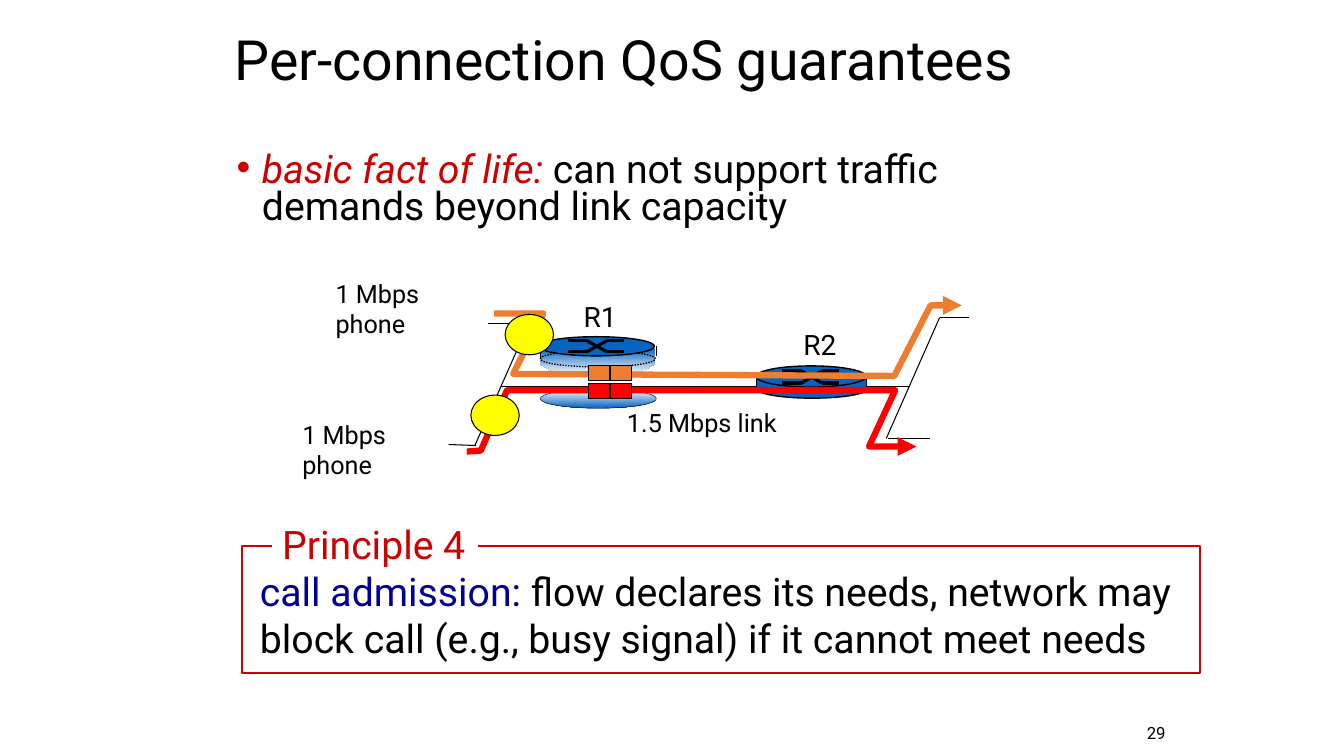
"""Build the slide on per-connection QoS guarantees."""
from dataclasses import dataclass

from lxml.etree import SubElement as Sub
from pptx import Presentation
from pptx.dml.color import RGBColor as Rgb
from pptx.enum.dml import MSO_LINE as Dash
from pptx.enum.shapes import MSO_CONNECTOR as Conn, MSO_SHAPE as Kind
from pptx.enum.text import MSO_ANCHOR as Anchor, MSO_AUTO_SIZE as Fit, PP_ALIGN as Align
from pptx.oxml.ns import qn
from pptx.util import Cm, Pt

FONT = "Roboto"
INK = {
    "black": "000000", "white": "FFFFFF", "crimson": "CC0000", "navy": "000099",
    "blue": "0563C1", "orange": "ED7D31", "red": "FF0000", "yellow": "FFFF00",
}
Box = tuple[float, float, float, float]
Spot = tuple[float, float]


@dataclass
class Part:
    text: str
    ink: str = "black"
    slant: bool = False


@dataclass
class Label:
    box: Box
    rows: list[list[Part]]
    size: float
    wrap: bool = False
    mid: bool = False


@dataclass
class Form:
    kind: Kind
    box: Box
    fill: tuple[str, ...] = ()
    line: str = ""
    width: float = 0.75
    dash: bool = False


@dataclass
class Flow:
    spots: list[Spot]
    ink: str


TITLE = Label((2.23, 0, 8.5, 1.25), [[Part("Per-connection QoS guarantees")]], 39.6, True, True)
FACT = Label((2.25, 1.47, 8.5, 0.94), [[
    Part("basic fact of life: ", "crimson", True),
    Part("can not support traffic demands beyond link capacity")]], 28, True)
RULE = Label((2.48, 5.58, 9.43, 1.04), [
    [Part("call admission: ", "navy"), Part("flow declares its needs, network may")],
    [Part("block call (e.g., busy signal) if it cannot meet needs")]], 28)
HEAD = Label((2.7, 5.11, 2.04, 0.57), [[Part("Principle 4", "crimson")]], 28)
PAGE = Label((10.91, 7.12, 0.75, 0.3), [[Part("29")]], 12, True, True)
PHONE = [[Part("1 Mbps")], [Part("phone")]]
NAMES = [
    Label((5.69, 2.92, 0.56, 0.44), [[Part("R1")]], 20),
    Label((7.87, 3.2, 0.56, 0.44), [[Part("R2")]], 20),
    Label((6.12, 3.99, 1.75, 0.4), [[Part("1.5 Mbps link")]], 18),
    Label((3.23, 2.71, 1.1, 0.71), PHONE, 18),
    Label((2.9, 4.11, 1.1, 0.71), PHONE, 18),
]
SIDE = [
    (5.36, 3.45), (5.45, 3.49), (5.6, 3.51), (5.73, 3.52), (5.89, 3.53), (6.01, 3.53),
    (6.16, 3.52), (6.29, 3.51), (6.46, 3.47), (6.5, 3.46), (6.5, 3.61), (6.43, 3.65),
    (6.37, 3.68), (6.29, 3.69), (6.17, 3.71), (6.02, 3.72), (5.89, 3.72), (5.78, 3.71),
    (5.67, 3.71), (5.53, 3.69), (5.46, 3.67), (5.4, 3.64), (5.36, 3.61),
]
WIRES = [
    ((5.24, 3.22), (4.71, 4.42)), ((4.72, 4.42), (4.45, 4.41)),
    ((5.25, 3.21), (4.84, 3.21)), ((9.32, 3.15), (8.79, 4.35)),
    ((9.22, 4.35), (8.81, 4.35)), ((9.61, 3.15), (9.32, 3.15)),
]
FLOWS = [
    Flow([(4.9, 3.11), (5.39, 3.11), (5.09, 3.71), (8.87, 3.73), (9.23, 3.03), (9.54, 3.03)],
         "orange"),
    Flow([(4.63, 4.48), (4.77, 4.47), (5.03, 3.87), (8.88, 3.87), (8.62, 4.43), (9.09, 4.43)],
         "red"),
]


def inch(val: float) -> Cm:
    return Cm(val * 2.54)


def tint(name: str) -> Rgb:
    return Rgb.from_string(INK[name])


def paint(shape, fill: tuple[str, ...], line: str, width: float) -> None:
    shape.shadow.inherit = False
    if len(fill) > 1:
        shape.fill.gradient()
        shape.fill.gradient_angle = 270
        for stop, name in zip(shape.fill.gradient_stops, fill):
            stop.color.rgb = tint(name)
    elif fill:
        shape.fill.solid()
        shape.fill.fore_color.rgb = tint(fill[0])
    else:
        shape.fill.background()
    if line:
        shape.line.color.rgb = tint(line)
        shape.line.width = Pt(width)
    else:
        shape.line.fill.background()


def form(shapes, item: Form):
    shape = shapes.add_shape(item.kind, *map(inch, item.box))
    paint(shape, item.fill, item.line, item.width)
    if item.dash:
        shape.line.dash_style = Dash.ROUND_DOT
    return shape


def write(shape, item: Label):
    frame = shape.text_frame
    frame.word_wrap = item.wrap
    frame.auto_size = Fit.NONE if item.wrap else Fit.SHAPE_TO_FIT_TEXT
    frame.vertical_anchor = Anchor.MIDDLE if item.mid else Anchor.TOP
    frame.text = "\n".join(row[0].text for row in item.rows)
    for par, row in zip(frame.paragraphs, item.rows):
        par.alignment = Align.LEFT
        for part in row[1:]:
            par.add_run().text = part.text
        for run, part in zip(par.runs, row):
            run.font.name = FONT
            run.font.size = Pt(item.size)
            run.font.italic = part.slant
            run.font.color.rgb = tint(part.ink)
    return frame.paragraphs[0]


def label(shapes, item: Label):
    return write(shapes.add_textbox(*map(inch, item.box)), item)


def wire(shapes, start: Spot, end: Spot, width: float = 0.75) -> None:
    line = shapes.add_connector(Conn.STRAIGHT, *map(inch, start + end))
    line.line.color.rgb = tint("black")
    line.line.width = Pt(width)
    Sub(line._element.spPr, qn("a:effectLst"))


def cross(shapes, left: float, top: float, low: float) -> None:
    for a, b in ((top, low), (low, top)):
        spots = [(left, a), (left + 0.19, a), (left + 0.39, b), (left + 0.56, b)]
        for start, end in zip(spots, spots[1:]):
            wire(shapes, start, end, 2.25)


def trace(shapes, spots: list[Spot], close: bool):
    pen, *rest = [(inch(x), inch(y)) for x, y in spots]
    path = shapes.build_freeform(*pen)
    path.add_line_segments(rest, close=close)
    return path.convert_to_shape()


def bullet(par) -> None:
    props = par._p.get_or_add_pPr()
    props.set("marL", str(inch(0.25)))
    props.set("indent", str(inch(-0.25)))
    Sub(Sub(props, qn("a:buClr")), qn("a:srgbClr"), val=INK["crimson"])
    Sub(props, qn("a:buFont"), typeface="Arial")
    Sub(props, qn("a:buChar"), char="•")


def first(shapes) -> None:
    paint(trace(shapes, SIDE, True), ("blue", "white"), "", 0)
    form(shapes, Form(Kind.OVAL, (5.36, 3.48, 1.14, 0.16), (), "black", 1, True))
    wire(shapes, (5.36, 3.46), (5.36, 3.56), 1)
    wire(shapes, (6.51, 3.43), (6.51, 3.53), 1)
    form(shapes, Form(Kind.OVAL, (5.34, 3.34, 1.15, 0.19), ("blue",), "black", 1))
    cross(shapes, 5.63, 3.38, 3.49)
    form(shapes, Form(Kind.OVAL, (5.36, 3.86, 1.15, 0.19), ("white", "blue"), "black", 0.25))


def second(shapes) -> None:
    form(shapes, Form(Kind.OVAL, (7.51, 3.77, 1.09, 0.18), ("blue",), "black", 1))
    for x in (7.51, 8.59):
        wire(shapes, (x, 3.76), (x, 3.87), 1)
    form(shapes, Form(Kind.RECTANGLE, (7.51, 3.76, 1.08, 0.11), ("blue",)))
    form(shapes, Form(Kind.OVAL, (7.5, 3.63, 1.09, 0.21), ("blue",), "black", 1))
    cross(shapes, 7.76, 3.68, 3.8)


def main() -> None:
    deck = Presentation()
    deck.slide_width, deck.slide_height = inch(13.33), inch(7.5)
    shapes = deck.slides.add_slide(deck.slide_layouts[6]).shapes
    label(shapes, TITLE).line_spacing = 0.9
    fact = label(shapes, FACT)
    bullet(fact)
    fact.line_spacing = 0.8
    label(shapes, RULE)
    form(shapes, Form(Kind.RECTANGLE, (2.4, 5.42, 9.5, 1.26), (), "crimson", 1.5))
    write(form(shapes, Form(Kind.RECTANGLE, HEAD.box, ("white",))), HEAD)
    wire(shapes, (4.97, 3.83), (9.03, 3.83))
    first(shapes)
    for start, end in WIRES:
        wire(shapes, start, end)
    second(shapes)
    for flow in FLOWS:
        path = trace(shapes, flow.spots, False)
        paint(path, (), flow.ink, 4.5)
        Sub(path.line._get_or_add_ln(), qn("a:tailEnd"), type="triangle")
    for x, y in ((5.01, 3.12), (4.67, 3.92)):
        form(shapes, Form(Kind.OVAL, (x, y, 0.48, 0.4), ("yellow",), "black"))
    for item in NAMES:
        label(shapes, item)
    for y, ink in ((3.8, "red"), (3.63, "orange")):
        for x in (6.05, 5.84):
            form(shapes, Form(Kind.RECTANGLE, (x, y, 0.21, 0.15), (ink,), "black"))
    label(shapes, PAGE).alignment = Align.RIGHT
    deck.save("out.pptx")


if __name__ == "__main__":
    main()
